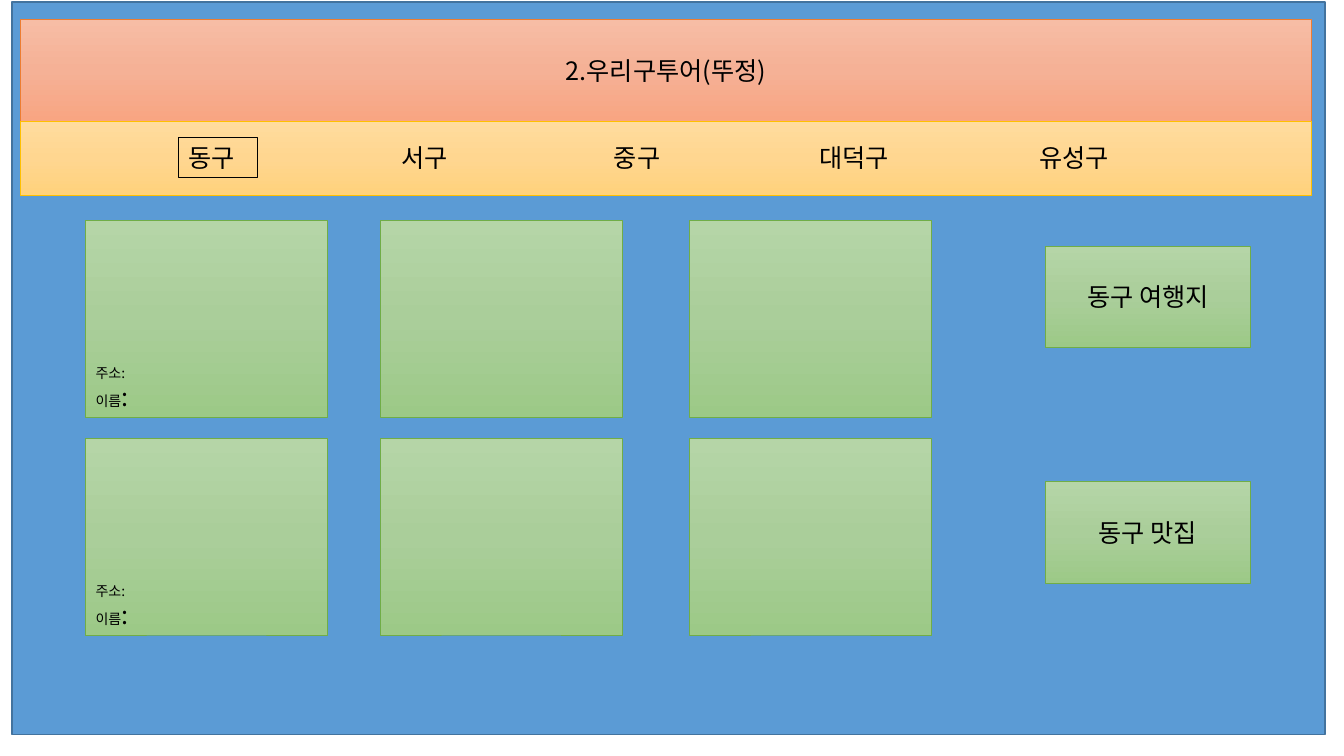
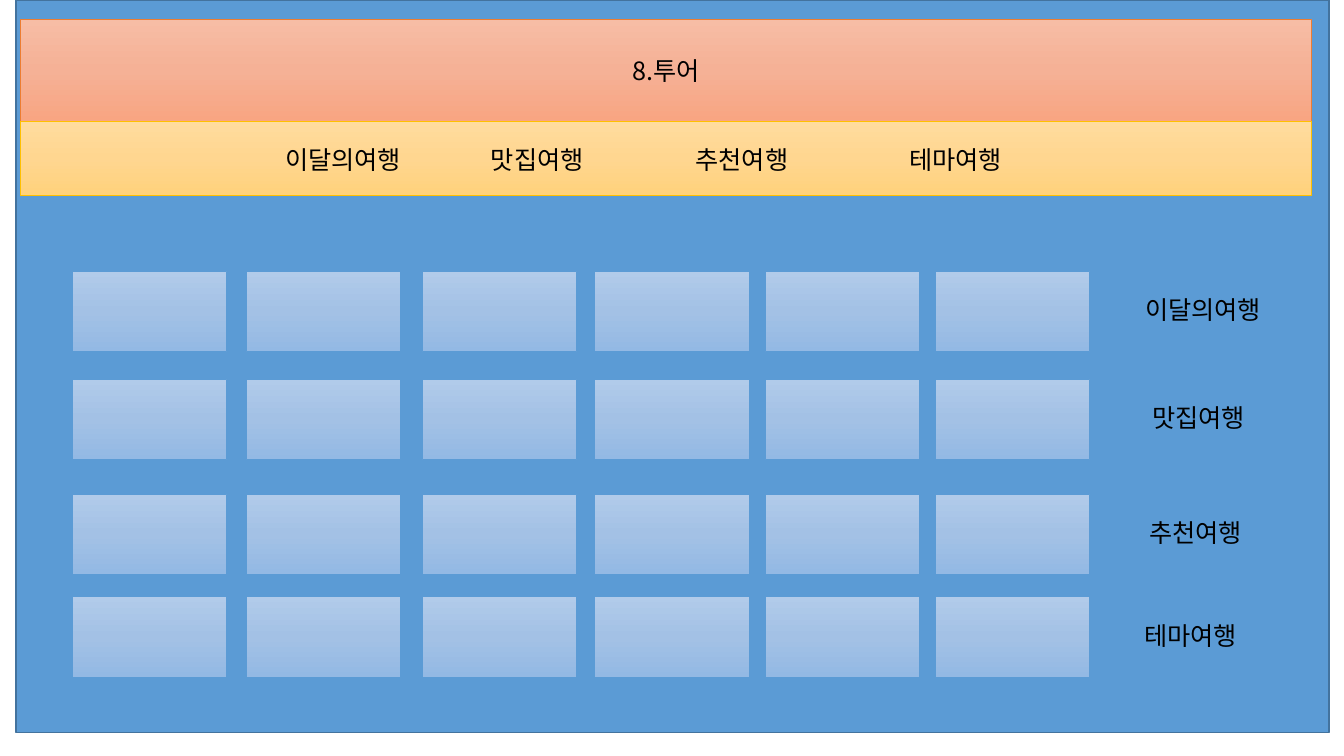
from copy import deepcopy

from lxml import etree
from pptx import Presentation
from pptx import util as u
from pptx.dml.color import RGBColor
from pptx.enum import shapes, text
from pptx.oxml.ns import qn

FONT = "Noto Sans CJK KR"
BODY, SMALL = 18, 10

BLACK = RGBColor(0x00, 0x00, 0x00)
BLUE = RGBColor(0x5B, 0x9B, 0xD5)
DARK_BLUE = RGBColor(0x43, 0x73, 0x9E)
ORANGE = RGBColor(0xED, 0x7D, 0x31)
GOLD = RGBColor(0xFF, 0xC0, 0x00)
GREEN = RGBColor(0x70, 0xAD, 0x47)
ORANGE_FADE = [RGBColor(0xF7, 0xBD, 0xA5), RGBColor(0xF5, 0xB1, 0x96), RGBColor(0xF8, 0xA5, 0x82)]
GOLD_FADE = [RGBColor(0xFF, 0xDC, 0x9E), RGBColor(0xFF, 0xD6, 0x90), RGBColor(0xFF, 0xD2, 0x7C)]
GREEN_FADE = [RGBColor(0xB5, 0xD5, 0xA7), RGBColor(0xAA, 0xCE, 0x9A), RGBColor(0x9C, 0xC9, 0x87)]
BLUE_FADE = [RGBColor(0xB1, 0xCB, 0xEA), RGBColor(0xA3, 0xC1, 0xE5), RGBColor(0x93, 0xB9, 0xE4)]

BAND_LEFT, BAND_WIDTH = 0.2, 12.81
TITLE_TOP, TITLE_HEIGHT = 0.19, 1.01
MENU_TOP, MENU_HEIGHT = TITLE_TOP + TITLE_HEIGHT, 0.74
LABEL_WIDTH, LABEL_HEIGHT = 1.5, 0.4

CARD_COLUMNS, CARD_ROWS = (0.85, 3.77, 6.84), (2.19, 4.35)
CARD_WIDTH, CARD_HEIGHT = 2.4, 1.95
CAPTION_HEIGHT = 0.57

TILE_COLUMNS = (0.72, 2.44, 4.19, 5.9, 7.59, 9.28)
TILE_ROWS = (2.69, 3.76, 4.9, 5.92)
TILE_WIDTH, TILE_HEIGHT = 1.53, 0.8


def inches(*lengths):
    return [u.Inches(length) for length in lengths]


def style_run(run, size):
    run.font.size = u.Pt(size)
    run.font.name = FONT
    run.font.color.rgb = BLACK
    etree.SubElement(run.font._element, qn("a:ea"), typeface=FONT)


def fade(panel, colours):
    """Fill a panel from top to bottom through evenly spaced colours."""
    panel.fill.gradient()
    panel.fill.gradient_angle = 270
    stops = panel.element.spPr.find(".//" + qn("a:gsLst"))
    stops.append(deepcopy(stops[0]))
    for index, (stop, colour) in enumerate(zip(panel.fill.gradient_stops, colours)):
        stop.color.rgb = colour
        stop.position = index / (len(colours) - 1)


def add_panel(slide, place, fill, border, border_width=0.5, words=""):
    panel = slide.shapes.add_shape(shapes.MSO_SHAPE.RECTANGLE, *inches(*place))
    panel.shadow.inherit = False
    if isinstance(fill, list):
        fade(panel, fill)
    else:
        panel.fill.solid()
        panel.fill.fore_color.rgb = fill
    panel.line.color.rgb = border
    panel.line.width = u.Pt(border_width)
    if words:
        frame = panel.text_frame
        frame.text = words
        frame.vertical_anchor = text.MSO_ANCHOR.MIDDLE
        frame.paragraphs[0].alignment = text.PP_ALIGN.CENTER
        style_run(frame.paragraphs[0].runs[0], BODY)


def add_label(slide, left, top, words, width=LABEL_WIDTH):
    label = slide.shapes.add_textbox(*inches(left, top, width, LABEL_HEIGHT))
    label.text_frame.word_wrap = True
    label.text_frame.text = words
    style_run(label.text_frame.paragraphs[0].runs[0], BODY)
    return label


def add_caption(slide, left, top):
    """Address and name lines at the foot of a card."""
    caption = slide.shapes.add_textbox(*inches(left, top, CARD_WIDTH, CAPTION_HEIGHT))
    frame = caption.text_frame
    frame.word_wrap = True
    frame.text = "주소:\n이름"
    address, name = frame.paragraphs
    name.add_run().text = ":"
    for run, size in zip((*address.runs, *name.runs), (SMALL, SMALL, BODY)):
        style_run(run, size)


def add_page(deck, title, menu, menu_top, frame_left, frame_top):
    """Blue page with a title band and a menu band; returns slide and menu labels."""
    slide = deck.slides.add_slide(deck.slide_layouts[6])
    add_panel(slide, (frame_left, frame_top, 13.02, 7.27), BLUE, DARK_BLUE, 1)
    add_panel(slide, (BAND_LEFT, TITLE_TOP, BAND_WIDTH, TITLE_HEIGHT),
              ORANGE_FADE, ORANGE, words=title)
    add_panel(slide, (BAND_LEFT, MENU_TOP, BAND_WIDTH, MENU_HEIGHT), GOLD_FADE, GOLD)
    return slide, [add_label(slide, left, menu_top, words) for left, words in menu]


def add_district_page(deck):
    menu = [(1.77, "동구"), (3.88, "서구"), (5.99, "중구"), (8.03, "대덕구"), (10.21, "유성구")]
    slide, districts = add_page(deck, "2.우리구투어(뚜정)", menu, 1.36, 0.12, 0.02)
    selected = districts[0]
    selected.width = u.Inches(0.78)
    selected.line.color.rgb = BLACK
    selected.line.width = u.Pt(0.75)

    for top in CARD_ROWS:
        for left in CARD_COLUMNS:
            add_panel(slide, (left, top, CARD_WIDTH, CARD_HEIGHT), GREEN_FADE, GREEN)
        add_caption(slide, CARD_COLUMNS[0], top + CARD_HEIGHT - CAPTION_HEIGHT)
    for top, words in ((2.44, "동구 여행지"), (4.78, "동구 맛집")):
        add_panel(slide, (10.37, top, 2.03, 1.01), GREEN_FADE, GREEN, words=words)


def add_tour_page(deck):
    tours = ("이달의여행", "맛집여행", "추천여행", "테마여행")
    menu = zip((2.73, 4.77, 6.8, 8.92), tours)
    slide, _ = add_page(deck, "8.투어", menu, 1.38, 0.16, 0)

    for top in TILE_ROWS:
        for left in TILE_COLUMNS:
            add_panel(slide, (left, top, TILE_WIDTH, TILE_HEIGHT), BLUE_FADE, BLUE)
    label_lefts = (11.26, 11.33, 11.3, 11.25)
    for left, top, tour in zip(label_lefts, TILE_ROWS, tours):
        add_label(slide, left, top + (TILE_HEIGHT - LABEL_HEIGHT) / 2 - 0.02, tour)


def main():
    deck = Presentation()
    deck.slide_width, deck.slide_height = inches(13.33, 7.5)
    add_district_page(deck)
    add_tour_page(deck)
    deck.save("out.pptx")


if __name__ == "__main__":
    main()
